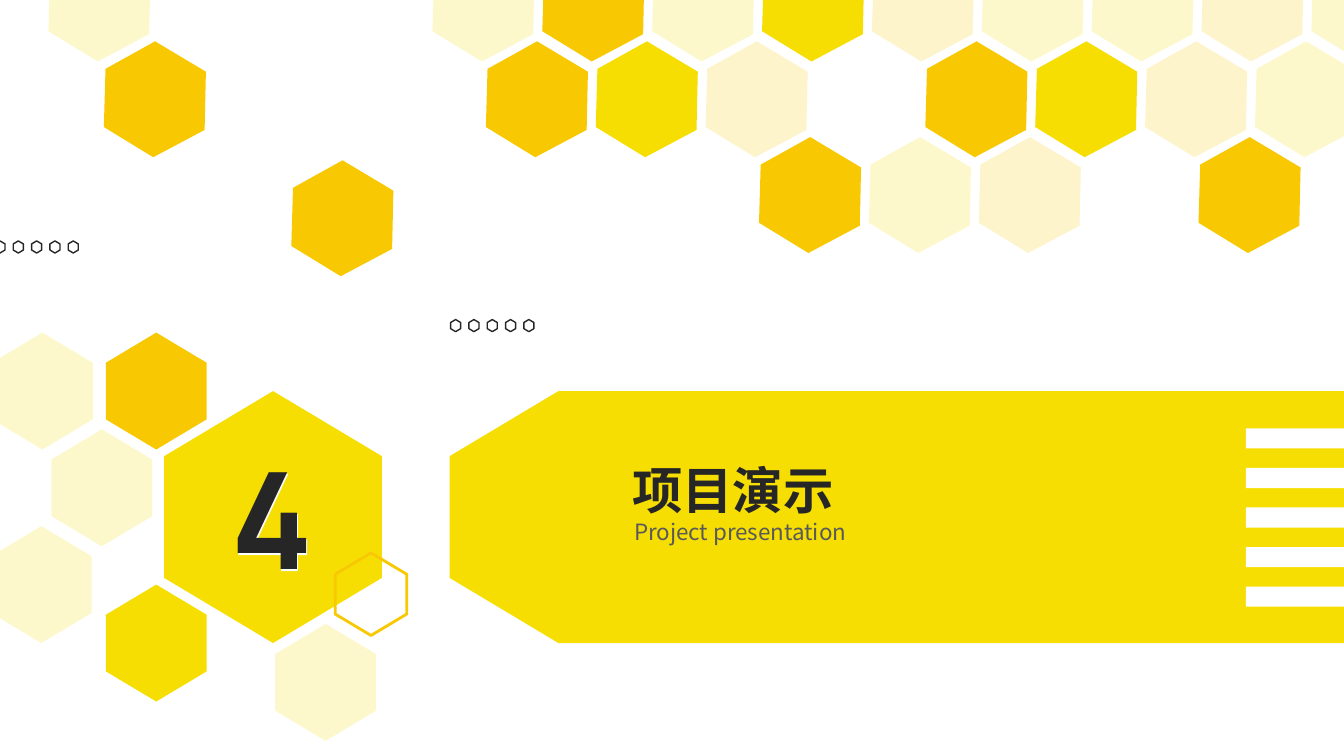
from dataclasses import dataclass

from lxml import etree
from pptx import Presentation
from pptx.dml.color import RGBColor
from pptx.enum.shapes import MSO_SHAPE
from pptx.enum.text import MSO_ANCHOR, MSO_AUTO_SIZE, PP_ALIGN
from pptx.oxml.ns import qn
from pptx.util import Inches, Pt

HEXAGON, RECTANGLE = MSO_SHAPE.HEXAGON, MSO_SHAPE.RECTANGLE
TOP, MIDDLE = MSO_ANCHOR.TOP, MSO_ANCHOR.MIDDLE
LEFT, CENTER = PP_ALIGN.LEFT, PP_ALIGN.CENTER
GROW = MSO_AUTO_SIZE.SHAPE_TO_FIT_TEXT

SLIDE_WIDTH, SLIDE_HEIGHT = Inches(13.33), Inches(7.5)
COLUMNS, ROWS = 160, 90


@dataclass(frozen=True)
class Theme:
    yellow: str = "F6DE03"
    amber: str = "F8C803"
    white: str = "FFFFFF"
    ink: str = "262626"
    grey: str = "595959"
    pale: int = 20
    number_font: str = "Manrope"
    text_font: str = "Noto Sans CJK SC"
    number_size: int = 96
    title_size: int = 36
    subtitle_size: int = 16


THEME = Theme()
HEX_FILLS = {
    "A": (THEME.amber, 100),
    "Y": (THEME.yellow, 100),
    "a": (THEME.amber, THEME.pale),
    "y": (THEME.yellow, THEME.pale),
}
HONEYCOMB = ("yAyYayyay", "AYa.AYay", "..Aya.A")
CELL_OUTLINE = ((5.88, 13.8), (0, 10.2), (0.2, 3.28), (6.1, 0), (12.15, 3.62), (12, 10.55))


def across(columns):
    return round(SLIDE_WIDTH * columns / COLUMNS)


def down(rows):
    return round(SLIDE_HEIGHT * rows / ROWS)


def frame(left, top, width, height):
    return across(left), down(top), across(width), down(height)


def paint(shape, fill=None, opacity=100, line=None, line_width=1):
    shape.shadow.inherit = False
    if fill:
        shape.fill.solid()
        shape.fill.fore_color.rgb = RGBColor.from_string(fill)
        if opacity < 100:
            color = shape.fill._xPr.find(qn("a:solidFill"))[0]
            etree.SubElement(color, qn("a:alpha"), val=str(opacity * 1000))
    else:
        shape.fill.background()
    if line:
        shape.line.color.rgb = RGBColor.from_string(line)
        shape.line.width = Pt(line_width)
    else:
        shape.line.fill.background()


def add_bar(slide, left, top, width, height, fill):
    bar = slide.shapes.add_shape(RECTANGLE, *frame(left, top, width, height))
    paint(bar, fill)


def add_hexagon(slide, center_x, center_y, length=13.92, breadth=12, **style):
    hexagon = slide.shapes.add_shape(
        HEXAGON, *frame(center_x - length / 2, center_y - breadth / 2, length, breadth))
    hexagon.rotation = 90
    hexagon.adjustments[0] = 0.299
    paint(hexagon, **style)


def add_honeycomb_cell(slide, left, top, kind):
    corners = [(across(left + x), down(top + y)) for x, y in CELL_OUTLINE]
    builder = slide.shapes.build_freeform(*corners[0])
    builder.add_line_segments(corners[1:], close=True)
    fill, opacity = HEX_FILLS[kind]
    paint(builder.convert_to_shape(), fill, opacity)


def add_honeycomb(slide, left, top):
    for row, kinds in enumerate(HONEYCOMB):
        for column, kind in enumerate(kinds):
            if kind in HEX_FILLS:
                add_honeycomb_cell(slide, left + 13.08 * column + 6.36 * row, top + 11.4 * row, kind)


def add_dots(slide, first_x, center_y):
    for index in range(5):
        add_hexagon(slide, first_x + 2.18 * index, center_y, 1.44, 1.2, line=THEME.ink)


def write(holder, text, *, font, size, color, bold=False, align=LEFT, anchor=TOP, outline=None):
    text_frame = holder.text_frame
    text_frame.word_wrap = True
    text_frame.auto_size = GROW
    text_frame.vertical_anchor = anchor
    paragraph = text_frame.paragraphs[0]
    paragraph.alignment = align
    paragraph.space_before = Pt(0)
    run = paragraph.add_run()
    run.text = text
    run.font.name = font
    run.font.size = Pt(size)
    run.font.bold = bold
    run.font.color.rgb = RGBColor.from_string(color)
    properties = run.font._element
    etree.SubElement(properties, qn("a:ea"), typeface=font)
    if outline:
        stroke = etree.Element(qn("a:ln"), w=str(Pt(outline)))
        stroke_fill = etree.SubElement(stroke, qn("a:solidFill"))
        etree.SubElement(stroke_fill, qn("a:srgbClr"), val=color)
        properties.insert(0, stroke)


def add_number(slide, text, top, color, outline=None):
    number = slide.shapes.add_textbox(*frame(21, top, 22.92, 20.64))
    write(number, text, font=THEME.number_font, size=THEME.number_size, color=color,
          bold=True, align=CENTER, anchor=MIDDLE, outline=outline)


def place_heading(slide, heading, text, left, top, width, height, **style):
    heading.left, heading.top, heading.width, heading.height = frame(left, top, width, height)
    slide.shapes.element.append(heading.element)
    write(heading, text, font=THEME.text_font, **style)


def main():
    deck = Presentation()
    deck.slide_width, deck.slide_height = SLIDE_WIDTH, SLIDE_HEIGHT
    slide = deck.slides.add_slide(deck.slide_layouts[0])
    title, subtitle = slide.placeholders

    add_bar(slide, 66.5, 46.56, 93.5, 30, THEME.yellow)
    for center_x in (32.5, 66.48):
        add_hexagon(slide, center_x, 61.56, 30, 25.92, fill=THEME.yellow)
    add_number(slide, "4", 51.24, THEME.white, outline=6)
    add_number(slide, "4", 51.12, THEME.ink)

    for center_x, center_y, kind in (
        (18.6, 46.56, "A"), (18.6, 76.56, "Y"), (12.12, 58.08, "y"),
        (5.04, 46.56, "y"), (4.92, 69.6, "y"), (38.76, 81.24, "y"),
    ):
        fill, opacity = HEX_FILLS[kind]
        add_hexagon(slide, center_x, center_y, fill=fill, opacity=opacity)
    add_hexagon(slide, 44.16, 70.74, 9.84, 8.52, line=THEME.amber, line_width=2)

    add_honeycomb(slide, 51.48, -6.48)
    for left, top, kind in ((12.36, 4.92, "A"), (5.76, -6.48, "y"), (34.68, 19.08, "A")):
        add_honeycomb_cell(slide, left, top, kind)

    place_heading(slide, title, "项目演示", 74.04, 54, 55.92, 8.52,
                  size=THEME.title_size, color=THEME.ink, bold=True)
    place_heading(slide, subtitle, "Project presentation", 74.28, 61.08, 48.24, 4.44,
                  size=THEME.subtitle_size, color=THEME.grey)

    for stripe in range(5):
        add_bar(slide, 148.32, 51 + 4.71 * stripe, 11.68, 2.4, THEME.white)
    add_dots(slide, 54.24, 38.76)
    add_dots(slide, 0, 29.4)

    deck.save("out.pptx")


if __name__ == "__main__":
    main()
